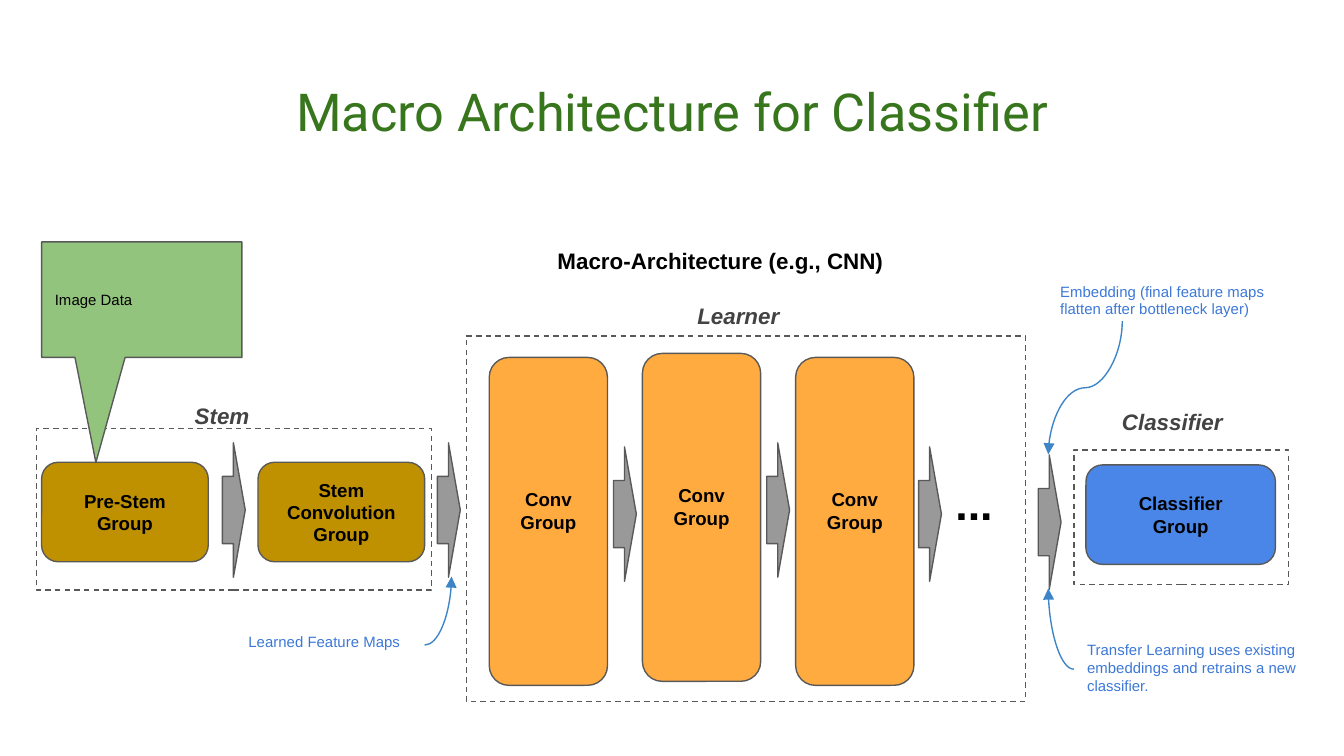
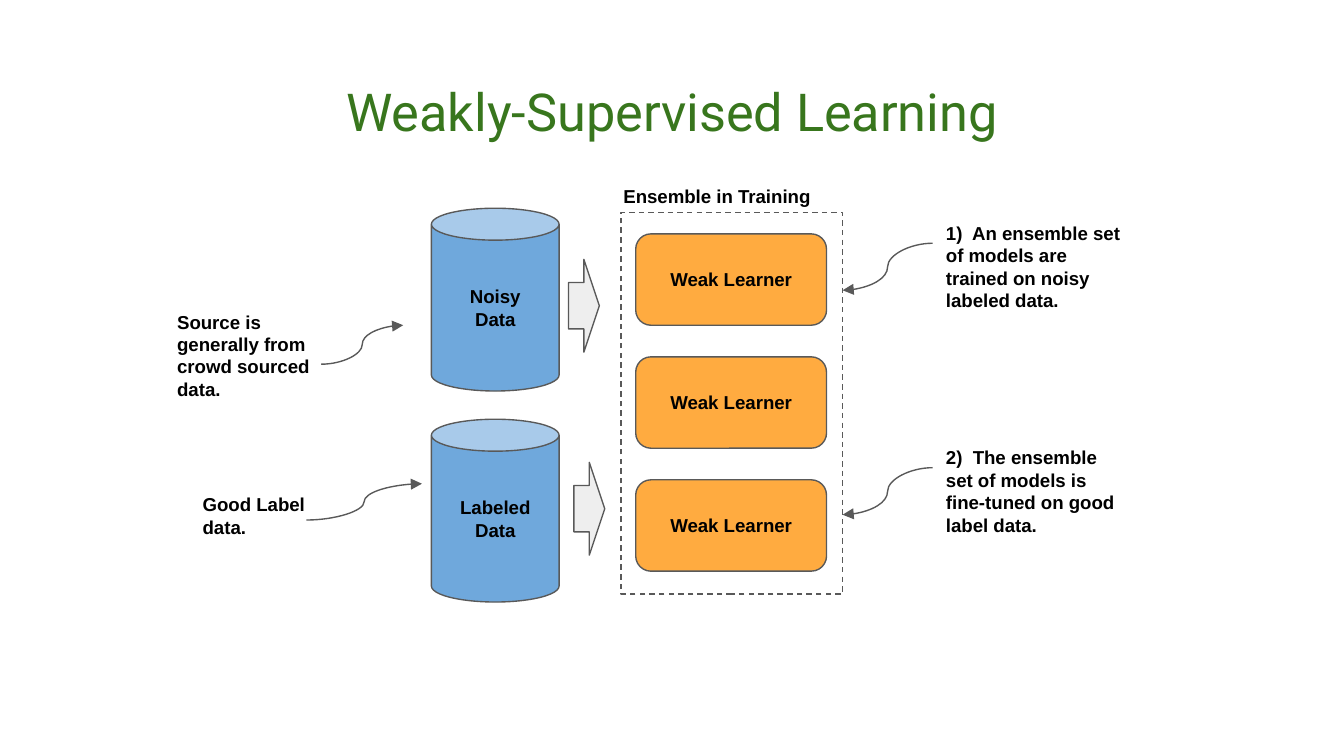
from dataclasses import dataclass
from typing import Optional

from lxml.etree import SubElement
from pptx import Presentation
from pptx.dml.color import RGBColor
from pptx.enum.dml import MSO_LINE
from pptx.enum.shapes import MSO_CONNECTOR, MSO_SHAPE
from pptx.enum.text import MSO_ANCHOR, PP_ALIGN
from pptx.oxml.ns import qn
from pptx.slide import Slide
from pptx.text.text import TextFrame
from pptx.util import Inches, Pt

# Shared colours
BLACK = "000000"
GREEN = "38761D"
OUTLINE = "595959"
ORANGE = "FFAB40"
STEM_BROWN = "BF9000"
CLASSIFIER_BLUE = "4A86E8"
CALLOUT_GREEN = "93C47D"
CAN_BLUE = "6FA8DC"
CURVE_BLUE = "3D85C6"

INSET = 0.1
LINE_WIDTH = Pt(0.75)
CORNER = (0.167,)


@dataclass(frozen=True)
class TextStyle:
    size: float
    color: str = BLACK
    bold: bool = False
    italic: bool = False
    font: str = "Arial"
    align: PP_ALIGN = PP_ALIGN.LEFT


TITLE = TextStyle(28, GREEN, font="Roboto", align=PP_ALIGN.CENTER)
NODE = TextStyle(10, bold=True, align=PP_ALIGN.CENTER)
REMARK = TextStyle(10, bold=True)
HEADING = TextStyle(12, bold=True)
PART = TextStyle(12, "434343", bold=True, italic=True)
ANNOTATION = TextStyle(8, "3C78D8")
CALLOUT = TextStyle(8)
ELLIPSIS = TextStyle(24, bold=True)


@dataclass(frozen=True)
class Node:
    """A preset shape with optional text."""
    left: float
    top: float
    width: float
    height: float
    fill: Optional[str]
    text: str = ""
    kind: MSO_SHAPE = MSO_SHAPE.ROUNDED_RECTANGLE
    adjustments: tuple[float, ...] = CORNER
    style: TextStyle = NODE
    bottom_inset: float = INSET
    rotation: float = 0
    dashed: bool = False


@dataclass(frozen=True)
class Label:
    left: float
    top: float
    width: float
    height: float
    text: str
    style: TextStyle


@dataclass(frozen=True)
class Curve:
    """A curved arrow; a quarter bends once, an upright one leaves vertically."""
    x1: float
    y1: float
    x2: float
    y2: float
    color: str = OUTLINE
    quarter: bool = False
    upright: bool = False


def rgb(value: str) -> RGBColor:
    return RGBColor.from_string(value)


def write(frame: TextFrame, text: str, style: TextStyle) -> None:
    frame.word_wrap = True
    frame.margin_left = frame.margin_right = Inches(INSET)
    frame.margin_top = frame.margin_bottom = Inches(INSET)
    frame.text = text
    for paragraph in frame.paragraphs:
        paragraph.alignment = style.align
        for run in paragraph.runs:
            run.font.name = style.font
            run.font.size = Pt(style.size)
            run.font.bold = style.bold
            run.font.italic = style.italic
            run.font.color.rgb = rgb(style.color)


def draw_label(slide: Slide, label: Label) -> None:
    box = slide.shapes.add_textbox(Inches(label.left), Inches(label.top),
                                   Inches(label.width), Inches(label.height))
    write(box.text_frame, label.text, label.style)


def draw_node(slide: Slide, node: Node) -> None:
    shape = slide.shapes.add_shape(node.kind, Inches(node.left), Inches(node.top),
                                   Inches(node.width), Inches(node.height))
    shape.shadow.inherit = False
    shape.rotation = node.rotation
    for index, value in enumerate(node.adjustments):
        shape.adjustments[index] = value
    if node.fill:
        shape.fill.solid()
        shape.fill.fore_color.rgb = rgb(node.fill)
    else:
        shape.fill.background()
    shape.line.color.rgb = rgb(OUTLINE)
    shape.line.width = LINE_WIDTH
    if node.dashed:
        shape.line.dash_style = MSO_LINE.DASH
    if node.text:
        write(shape.text_frame, node.text, node.style)
        shape.text_frame.vertical_anchor = MSO_ANCHOR.MIDDLE
        shape.text_frame.margin_bottom = Inches(node.bottom_inset)


def draw_curve(slide: Slide, curve: Curve) -> None:
    x1, y1, x2, y2 = curve.x1, curve.y1, curve.x2, curve.y2
    if curve.upright:
        # Lay the curve flat around its centre; a quarter turn then sets it upright
        center_x, center_y = (x1 + x2) / 2, (y1 + y2) / 2
        half_run, half_rise = (y2 - y1) / 2, (x1 - x2) / 2
        x1, x2 = center_x - half_run, center_x + half_run
        y1, y2 = center_y - half_rise, center_y + half_rise
    connector = slide.shapes.add_connector(
        MSO_CONNECTOR.CURVE, Inches(x1), Inches(y1), Inches(x2), Inches(y2))
    connector.line.color.rgb = rgb(curve.color)
    connector.line.width = LINE_WIDTH
    properties = connector.element.spPr
    if curve.upright:
        properties.find(qn("a:xfrm")).set("rot", "5400000")
    if curve.quarter:
        properties.find(qn("a:prstGeom")).set("prst", "curvedConnector2")
    SubElement(properties.find(qn("a:ln")), qn("a:tailEnd"), type="triangle")
    SubElement(properties, qn("a:effectLst"))


def frame(left: float, top: float, width: float, height: float) -> Node:
    return Node(left, top, width, height, None, kind=MSO_SHAPE.RECTANGLE,
                adjustments=(), dashed=True)


def flow_arrow(left: float, top: float) -> Node:
    return Node(left, top, 1, 0.17, "999999", kind=MSO_SHAPE.DOWN_ARROW,
                adjustments=(0.5, 0.517), rotation=270)


def feed_arrow(left: float, top: float) -> Node:
    return Node(left, top, 0.23, 0.69, "EEEEEE", kind=MSO_SHAPE.RIGHT_ARROW,
                adjustments=(0.5, 0.5))


def data_can(top: float, text: str) -> Node:
    return Node(3.21, top, 0.95, 1.36, CAN_BLUE, text, MSO_SHAPE.CAN, (0.25,))


def build_slide(deck: Presentation, title: str, nodes: list[Node],
                labels: list[Label], curves: list[Curve]) -> None:
    slide = deck.slides.add_slide(deck.slide_layouts[6])
    slide.background.fill.solid()
    slide.background.fill.fore_color.rgb = rgb("FFFFFF")
    draw_label(slide, Label(0.34, 0.49, 9.32, 0.63, title, TITLE))
    for node in nodes:
        draw_node(slide, node)
    for label in labels:
        draw_label(slide, label)
    for curve in curves:
        draw_curve(slide, curve)


def build_macro_architecture(deck: Presentation) -> None:
    # Stem, learner and classifier groups
    conv_groups = [
        Node(3.64 + 1.14 * index, top, 0.88, 2.44, ORANGE, text, bottom_inset=0.26)
        for index, (top, text) in enumerate(
            [(2.66, "Conv Group"), (2.63, "Conv Group"), (2.66, "Conv\nGroup")])
    ]
    arrows = [flow_arrow(left, top) for left, top in (
        (1.24, 3.71), (2.84, 3.71), (4.15, 3.74), (5.29, 3.71), (6.42, 3.74), (7.31, 3.8))]
    nodes = [
        frame(7.99, 3.35, 1.6, 1),
        Node(0.31, 3.44, 1.24, 0.74, STEM_BROWN, "Pre-Stem\vGroup"),
        Node(1.92, 3.44, 1.24, 0.74, STEM_BROWN, "Stem\vConvolution Group"),
        *conv_groups,
        Node(8.08, 3.46, 1.41, 0.74, CLASSIFIER_BLUE, "Classifier\vGroup"),
        frame(3.47, 2.5, 4.16, 2.72),
        *arrows,
        frame(0.27, 3.19, 2.94, 1.2),
        Node(0.31, 1.8, 1.49, 0.86, CALLOUT_GREEN, "Image Data",
             MSO_SHAPE.ROUNDED_RECTANGULAR_CALLOUT, (-0.229, 1.409, 0), CALLOUT),
    ]
    # Part names and annotations
    labels = [
        Label(4.05, 1.74, 3.84, 0.41, "Macro-Architecture (e.g., CNN)", HEADING),
        Label(7.01, 3.44, 0.78, 0.43, "...", ELLIPSIS),
        Label(1.35, 2.89, 0.78, 0.41, "Stem", PART),
        Label(5.09, 2.15, 0.93, 0.41, "Learner", PART),
        Label(8.25, 2.94, 1.06, 0.41, "Classifier", PART),
        Label(1.75, 4.64, 1.41, 0.4, "Learned Feature Maps", ANNOTATION),
        Label(7.79, 2, 1.87, 0.4,
              "Embedding (final feature maps flatten after bottleneck layer)", ANNOTATION),
        Label(7.99, 4.67, 1.87, 0.63,
              "Transfer Learning uses existing embeddings and retrains a new classifier.",
              ANNOTATION),
    ]
    curves = [
        Curve(3.16, 4.8, 3.36, 4.29, CURVE_BLUE, quarter=True),
        Curve(8.35, 2.39, 7.8, 3.38, CURVE_BLUE, upright=True),
        Curve(7.99, 4.98, 7.8, 4.38, CURVE_BLUE, quarter=True),
    ]
    build_slide(deck, "Macro Architecture for Classifier", nodes, labels, curves)


def build_weak_supervision(deck: Presentation) -> None:
    # Data sources feeding the ensemble
    first_top, last_top, learner_count = 1.74, 3.57, 3
    pitch = (last_top - first_top) / (learner_count - 1)
    weak_learners = [Node(4.73, first_top + pitch * index, 1.42, 0.68, ORANGE, "Weak Learner")
                     for index in range(learner_count)]
    nodes = [
        *weak_learners,
        frame(4.62, 1.58, 1.65, 2.84),
        data_can(1.55, "Noisy\vData"),
        data_can(3.12, "Labeled\vData"),
        feed_arrow(4.23, 1.93),
        feed_arrow(4.27, 3.44),
    ]
    # Remarks and their curved arrows
    labels = [
        Label(4.54, 1.29, 1.8, 0.3, "Ensemble in Training", REMARK),
        Label(1.22, 2.21, 1.23, 1.36, "Source is generally from crowd sourced data.", REMARK),
        Label(1.41, 3.57, 1.14, 0.75, "Good Label data.", REMARK),
    ]
    curves = [Curve(2.39, 2.71, 3, 2.42), Curve(2.28, 3.87, 3.14, 3.6)]
    steps = [
        (1.55, "1)  An ensemble set of models are trained on noisy labeled data."),
        (3.22, "2)  The ensemble set of models is fine-tuned on good label data."),
    ]
    for top, text in steps:
        labels.append(Label(6.94, top, 1.54, 1.02, text, REMARK))
        curves.append(Curve(6.94, top + 0.26, 6.27, top + 0.61))
    build_slide(deck, "Weakly-Supervised Learning", nodes, labels, curves)


def main() -> None:
    deck = Presentation()
    # Widescreen, 16 to 9
    deck.slide_width = Inches(10)
    deck.slide_height = Inches(10 * 9 / 16)
    build_macro_architecture(deck)
    build_weak_supervision(deck)
    deck.save("out.pptx")


if __name__ == "__main__":
    main()
